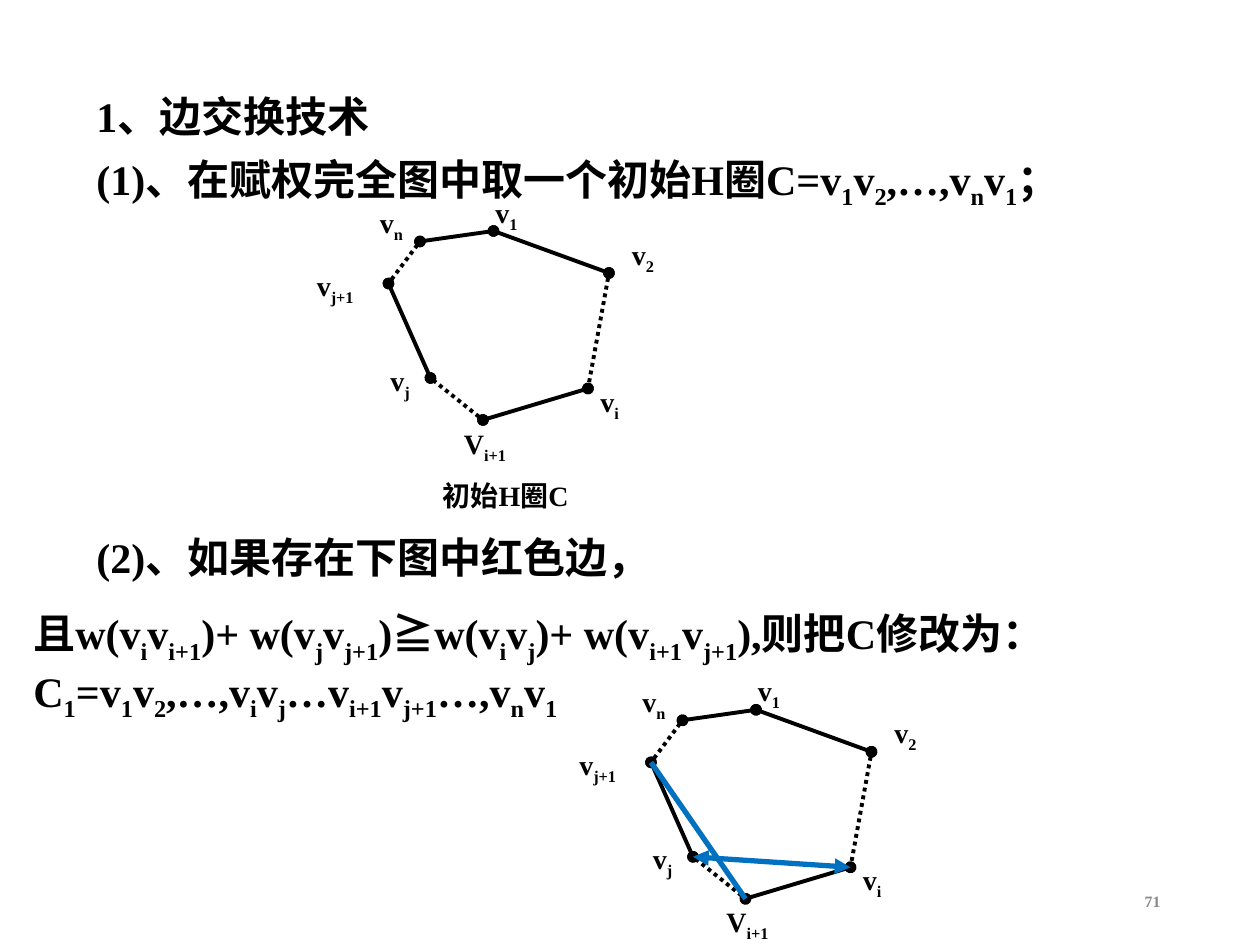
from lxml.etree import SubElement
from pptx import Presentation
from pptx.dml.color import RGBColor
from pptx.enum.dml import MSO_LINE
from pptx.enum.shapes import MSO_CONNECTOR
from pptx.enum.text import MSO_ANCHOR, MSO_AUTO_SIZE, PP_ALIGN
from pptx.oxml.ns import qn
from pptx.util import Pt

PX = 7620  # EMU per px, 120 px to the inch
COLORS = {"ink": "000000", "new_edge": "0070C0", "page": "898989"}
LATIN, CJK = "Times New Roman", "Noto Sans CJK SC"

VERTICES = {
    "v1": (470, 220), "v2": (580, 260), "vi": (560, 370), "vi+1": (460, 400),
    "vj": (410, 360), "vj+1": (370, 270), "vn": (400, 230),
}
EDGES = [
    ("v1", "v2", False), ("v2", "vi", True), ("vi+1", "vi", False),
    ("vi+1", "vj", True), ("vj+1", "vj", False), ("vj+1", "vn", True),
    ("vn", "v1", False),
]
LABELS = [
    ("v|1|", 460, 180, 62), ("v|2|", 590, 220, 62), ("v|i|", 560, 360, 62),
    ("V|i+1|", 430, 400, 90), ("v|j|", 360, 340, 62),
    ("v|j+1|", 290, 250, 92), ("v|n|", 350, 190, 62),
]


class SlideBuilder:
    def __init__(self, slide):
        self.slide = slide
        self.shapes = slide.shapes

    def start_group(self):
        """Send the elements that follow into a new group."""
        self.shapes = self.slide.shapes.add_group_shape().shapes

    def text(self, paragraphs, x, y, w, h, size=16, color="ink", indent=0,
             align=None, anchor=MSO_ANCHOR.TOP, grow=True):
        """Add a text box; parts between bars are subscripts."""
        box = self.shapes.add_textbox(x * PX, y * PX, w * PX, h * PX)
        tf = box.text_frame
        tf.word_wrap = True
        tf.vertical_anchor = anchor
        if grow:
            tf.auto_size = MSO_AUTO_SIZE.SHAPE_TO_FIT_TEXT
        for i, marked in enumerate(paragraphs):
            p = tf.add_paragraph() if i else tf.paragraphs[0]
            if i:
                p.space_before = Pt(15)
            elif indent:
                p._p.get_or_add_pPr().set("indent", str(indent * PX))
            if align is not None:
                p.alignment = align
            for n, part in enumerate(marked.split("|")):
                if part:
                    self.run(p, part, size, color, subscript=n % 2 == 1)

    def run(self, p, text, size, color, subscript):
        r = p.add_run()
        r.text = text
        r.font.size = Pt(size)
        r.font.bold = True
        r.font.color.rgb = RGBColor.from_string(COLORS[color])
        r.font.name = CJK if text == "≧" else LATIN
        rPr = r._r.get_or_add_rPr()
        SubElement(rPr, qn("a:ea")).set("typeface", CJK)
        if subscript:
            rPr.set("baseline", "-25000")

    def line(self, start, end, color="ink", width=2.25, dotted=False, ends=None):
        x1, y1, x2, y2 = (v * PX for v in start + end)
        c = self.shapes.add_connector(MSO_CONNECTOR.STRAIGHT, x1, y1, x2, y2)
        c.line.color.rgb = RGBColor.from_string(COLORS[color])
        c.line.width = Pt(width)
        if dotted:
            c.line.dash_style = MSO_LINE.ROUND_DOT
        spPr = c._element.spPr
        if ends:
            for tag in ("a:headEnd", "a:tailEnd"):
                SubElement(spPr.find(qn("a:ln")), qn(tag)).set("type", ends)
        SubElement(spPr, qn("a:effectLst"))

    def circuit(self, dx=0, dy=0):
        """Draw the H circuit in its own group, and return its vertices."""
        self.start_group()
        points = {k: (x + dx, y + dy) for k, (x, y) in VERTICES.items()}
        for a, b, dotted in EDGES:
            self.line(points[a], points[b], dotted=dotted, ends="oval")
        for label, x, y, w in LABELS:
            self.text([label], x + dx, y + dy, w, 49)
        return points


def main():
    prs = Presentation()
    prs.slide_width, prs.slide_height = 1200 * PX, 900 * PX
    s = SlideBuilder(prs.slides.add_slide(prs.slide_layouts[6]))

    s.text(["71"], 847, 834, 270, 48, size=9, color="page",
           align=PP_ALIGN.RIGHT, anchor=MSO_ANCHOR.MIDDLE, grow=False)
    s.text(["1、边交换技术"], 20, 80, 1040, 60, size=24, indent=60)
    s.text(["(1)、在赋权完全图中取一个初始H圈C=v|1|v|2|,…,v|n|v|1|；"],
           20, 140, 1040, 67, size=24, indent=60)
    s.text(["(2)、如果存在下图中红色边，",
            "且w(v|i|v|i+1|)+ w(v|j|v|j+1|)||≧||w(v|i|v|j|)+ w(v|i+1|v|j+1|),"
            "则把C修改为： C|1|=v|1|v|2|,…,v|i|v|j|…v|i+1|v|j+1|…,v|n|v|1|"],
           20, 500, 1100, 194, size=24, indent=60)

    s.circuit()
    s.text(["初始H圈C"], 410, 450, 200, 44)

    swapped = s.circuit(dx=250, dy=456)
    s.line(swapped["vj"], swapped["vi"], "new_edge", 3, ends="triangle")
    s.line(swapped["vj+1"], swapped["vi+1"], "new_edge", 3)

    prs.save("out.pptx")


if __name__ == "__main__":
    main()
